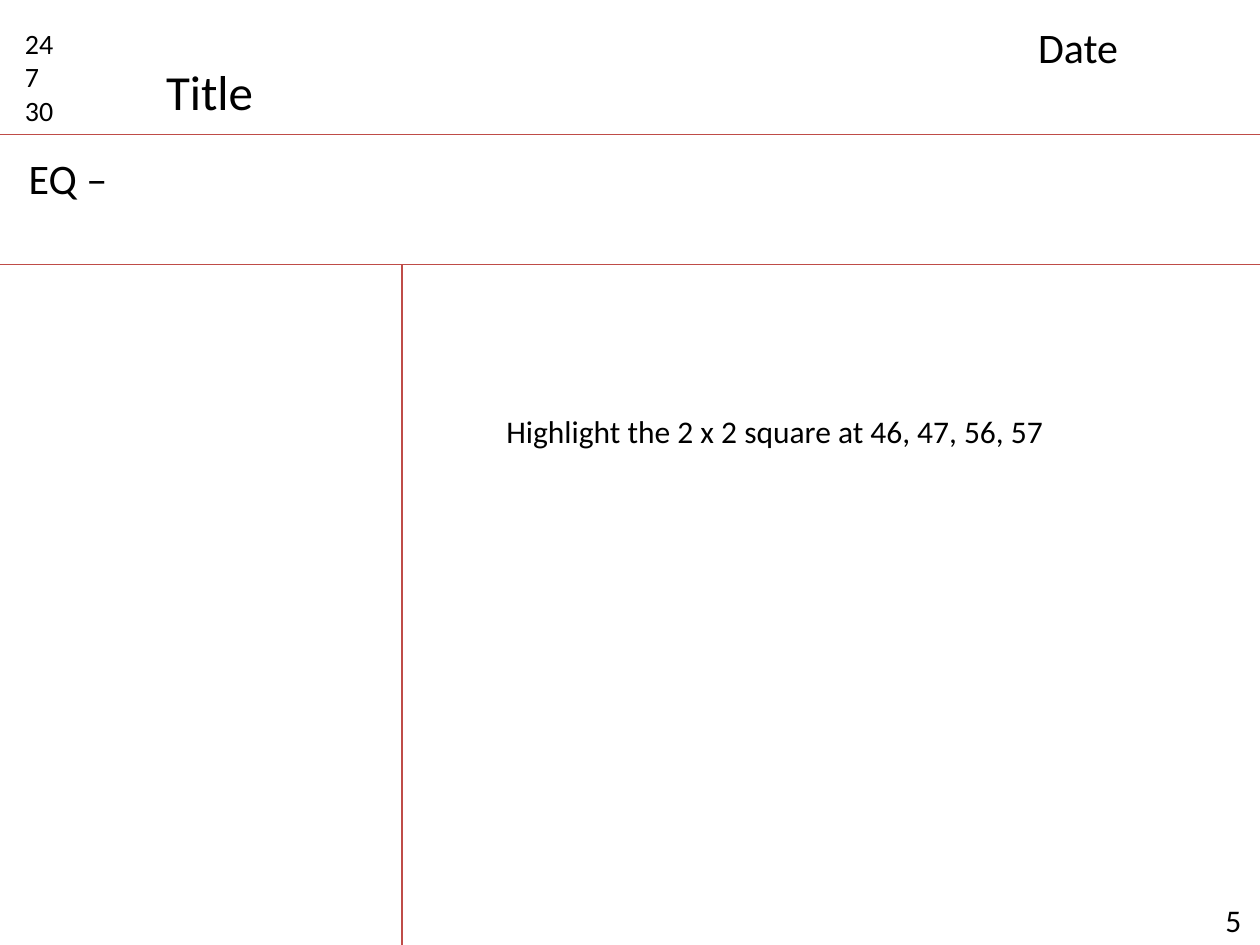
import pptx
import pptx.dml.color
import pptx.enum.shapes
import pptx.enum.text
import pptx.oxml
import pptx.util
import lxml.etree

WIDE, HIGH = 10, 7.5
TOP, BASE, SPLIT = 1.07, 2.1, 3.19


def paint(code):
    return pptx.dml.color.RGBColor.from_string(code)


def write(frame, text, size=18, font="Calibri", color="000000"):
    for i, line in enumerate(text.split("\n")):
        para = frame.paragraphs[0] if i == 0 else frame.add_paragraph()
        run = para.add_run()
        run.text = line
        run.font.size = pptx.util.Pt(size)
        run.font.name = font
        run.font.color.rgb = paint(color)


class Page:
    def __init__(self, deck, rule="BF4C48", weight=0.75):
        self.deck = deck
        self.rule = rule
        self.weight = weight
        self.slide = deck.slides.add_slide(deck.slide_layouts[6])

    def place(self, x, y):
        return (int(self.deck.slide_width * x / WIDE),
                int(self.deck.slide_height * y / HIGH))

    def line(self, x1, y1, x2, y2):
        kind = pptx.enum.shapes.MSO_CONNECTOR.STRAIGHT
        link = self.slide.shapes.add_connector(
            kind, *self.place(x1, y1), *self.place(x2, y2))
        link.line.color.rgb = paint(self.rule)
        link.line.width = pptx.util.Pt(self.weight)
        lxml.etree.SubElement(
            link._element.spPr, pptx.oxml.ns.qn("a:effectLst"))

    def text(self, x, y, w, h, words, wrap=True, **style):
        box = self.slide.shapes.add_textbox(
            *self.place(x, y), *self.place(w, h))
        frame = box.text_frame
        frame.word_wrap = wrap
        frame.auto_size = pptx.enum.text.MSO_AUTO_SIZE.SHAPE_TO_FIT_TEXT
        write(frame, words, **style)


def main():
    deck = pptx.Presentation()
    deck.slide_width = pptx.util.Inches(WIDE)
    deck.slide_height = pptx.util.Inches(HIGH)
    page = Page(deck)
    page.text(9.57, 7.1, 0.6, 0.4, " 5")
    for y in (TOP, BASE):
        page.line(0, y, WIDE, y)
    page.text(0.1, 0.16, 0.63, 0.91, "24\n7\n30", size=16)
    page.line(SPLIT, BASE, SPLIT, HIGH)
    page.text(1.22, 0.44, 0.9, 0.57, "Title", wrap=False, size=28)
    page.text(8.14, 0.12, 1.73, 0.5, "Date", size=24)
    page.text(0.13, 1.16, 9.43, 0.5, "EQ –", size=24)
    page.text(3.92, 3.22, 4.52, 0.4,
              "Highlight the 2 x 2 square at 46, 47, 56, 57", wrap=False)
    deck.save("out.pptx")


if __name__ == "__main__":
    main()
